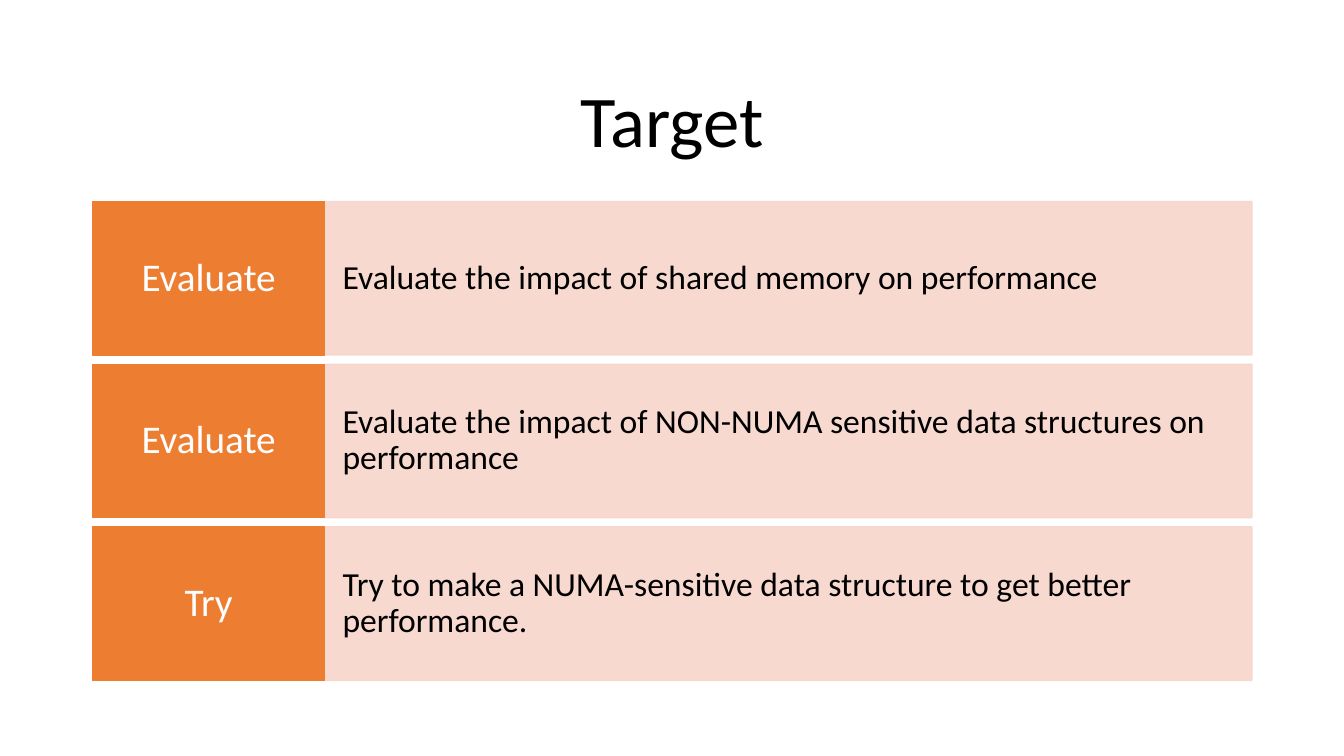
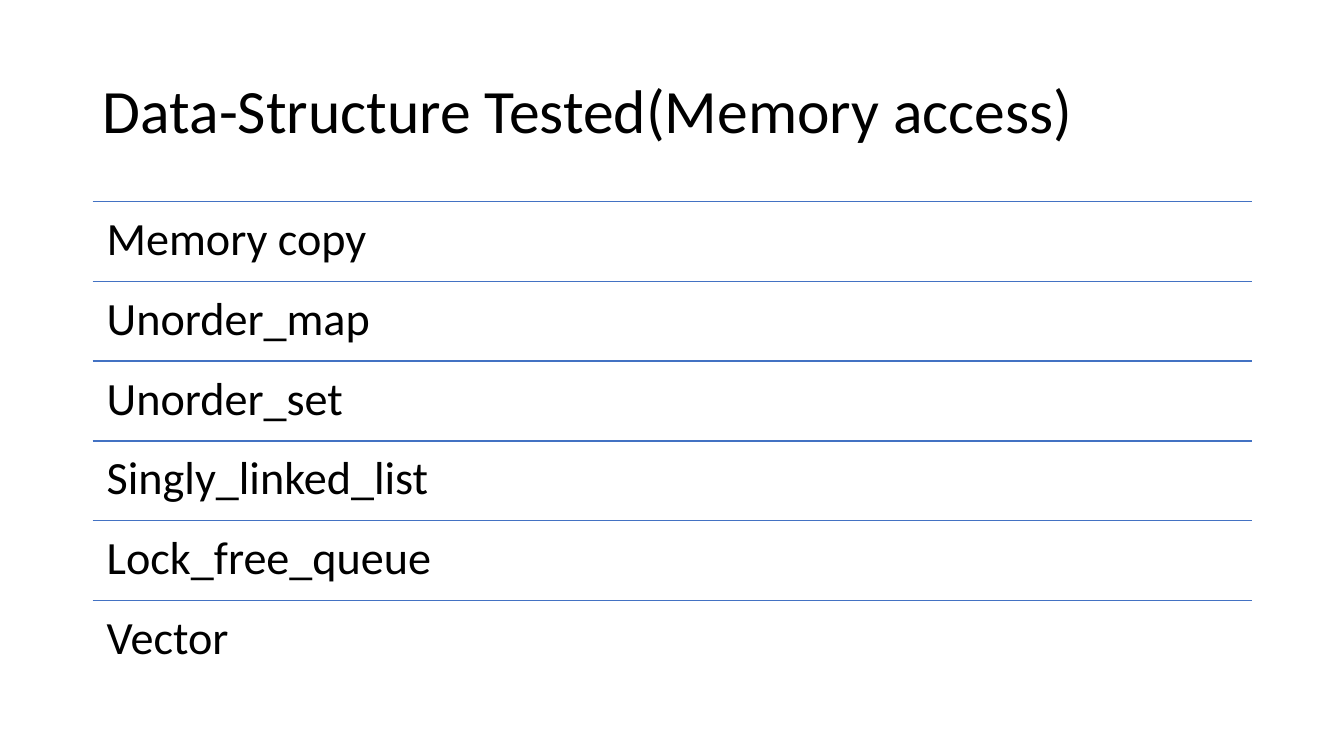
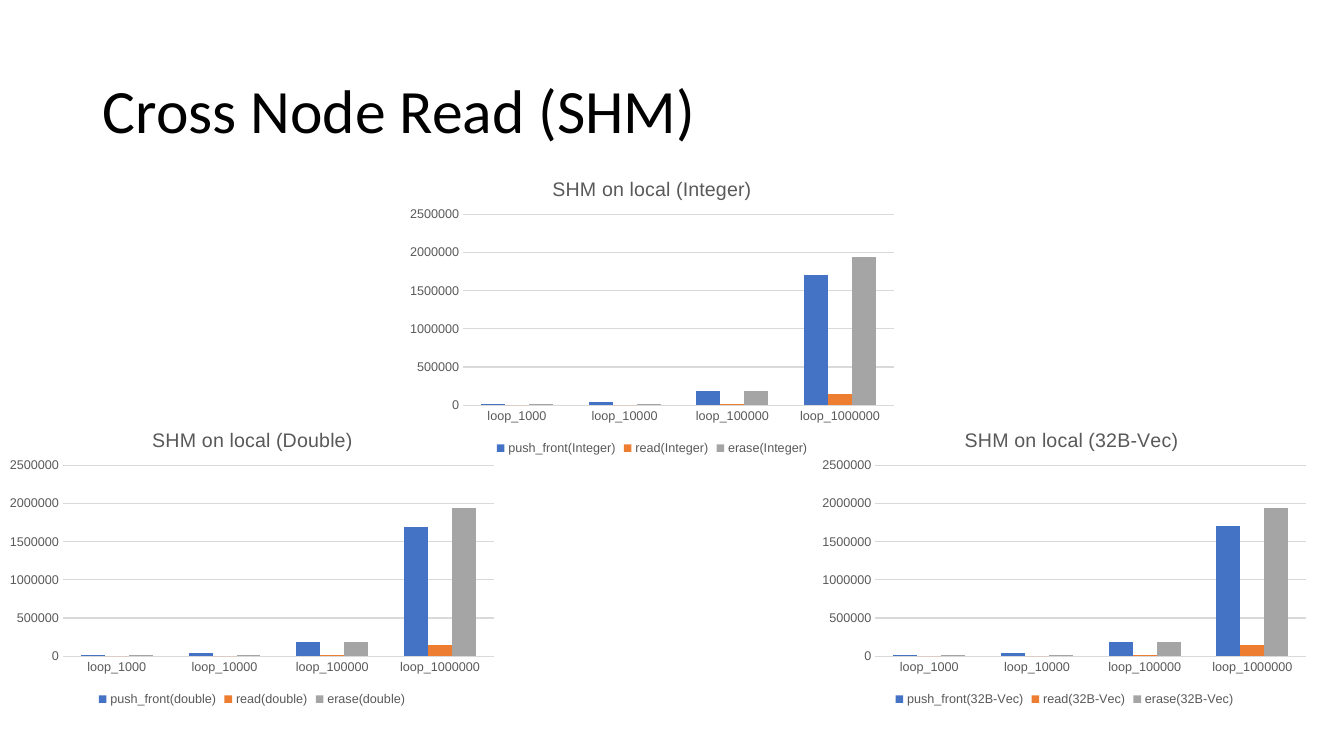
from lxml import etree
from pptx import Presentation
from pptx import util as u
from pptx.chart import data as cd
from pptx.dml import color as dc
from pptx.enum import chart as ec
from pptx.enum import shapes, text
from pptx.oxml import ns, parse_xml

LEFT, WIDTH = 66.25, 828
TOP, HEIGHT = 144, 342
BLUE, ORANGE, GRAY = "4472C4", "ED7D31", "A5A5A5"
RULE, PINK, GRID, LABEL = "4372C3", "F7D5CB", "D9D9D9", "595959"
BLACK, WHITE = "000000", "FFFFFF"
ALIGN = text.PP_ALIGN
ANCHOR = text.MSO_ANCHOR


def paint(color_format, color, alpha=None):
    """Set a hex colour, with its opacity in percent if given."""
    color_format.rgb = dc.RGBColor.from_string(color)
    if alpha is not None:
        srgb = color_format._xFill.find(ns.qn("a:srgbClr"))
        etree.SubElement(srgb, ns.qn("a:alpha"), val=str(alpha * 1000))


def style_font(font, size, color, face):
    font.size, font.name, font.bold = u.Pt(size), face, False
    paint(font.color, color)


def write(tf, words, size=24, color=BLACK, align=ALIGN.LEFT,
          anchor=ANCHOR.MIDDLE, inset=(7.2, 3.6)):
    """Put one paragraph in a frame; inset is (sides, top and bottom)."""
    tf.word_wrap, tf.auto_size = True, text.MSO_AUTO_SIZE.NONE
    tf.vertical_anchor = anchor
    tf.margin_left = tf.margin_right = u.Pt(inset[0])
    tf.margin_top = tf.margin_bottom = u.Pt(inset[1])
    p = tf.paragraphs[0]
    p.alignment, p.line_spacing = align, 0.9
    r = p.add_run()
    r.text = words
    style_font(r.font, size, color, "Calibri")


def place(element, after, **fractions):
    """Fix a chart part at fractions of the chart's size."""
    inner = '<c:layoutTarget val="inner"/>' if "w" in fractions else ""
    modes = "".join(f'<c:{k}Mode val="edge"/>' for k in "xy")
    values = "".join(f'<c:{k} val="{v}"/>' for k, v in fractions.items())
    for old in element.findall(ns.qn("c:layout")):
        element.remove(old)
    layout = parse_xml(f'<c:layout {ns.nsdecls("c")}><c:manualLayout>{inner}{modes}'
                       f'{values}</c:manualLayout></c:layout>')
    if after is None:
        element.insert(0, layout)
    else:
        after.addnext(layout)


class Deck:
    def __init__(self):
        self.prs = Presentation()
        self.prs.slide_width, self.prs.slide_height = u.Pt(960), u.Pt(540)
        self.s = None

    def slide(self, title, top=28.75, height=104.4, **fmt):
        self.s = self.prs.slides.add_slide(self.prs.slide_layouts[5])
        sp = self.s.shapes.title
        sp.left, sp.top, sp.width, sp.height = map(u.Pt, (LEFT, top, WIDTH, height))
        write(sp.text_frame, title, **fmt)

    def block(self, x, y, w, h, words, fill, alpha=None, **fmt):
        sp = self.s.shapes.add_shape(shapes.MSO_SHAPE.RECTANGLE, *map(u.Pt, (x, y, w, h)))
        sp.shadow.inherit = False
        sp.fill.solid()
        paint(sp.fill.fore_color, fill, alpha)
        sp.line.width = u.Pt(1)
        sp.line.fill.solid()
        paint(sp.line.fill.fore_color, fill, alpha)
        write(sp.text_frame, words, **fmt)

    def label(self, x, y, w, h, words, **fmt):
        sp = self.s.shapes.add_textbox(*map(u.Pt, (x, y, w, h)))
        write(sp.text_frame, words, **fmt)

    def rule(self, x, y, w):
        cx = self.s.shapes.add_connector(shapes.MSO_CONNECTOR.STRAIGHT,
                                         *map(u.Pt, (x, y, x + w, y)))
        cx.line.width = u.Pt(1)
        paint(cx.line.color, RULE)
        etree.SubElement(cx._element.spPr, ns.qn("a:effectLst"))

    def columns(self, x, y, title, cats, series):
        """Add a column chart; series maps names to values."""
        data = cd.CategoryChartData()
        data.categories = cats
        for name, values in series.items():
            data.add_series(name, values)
        chart = self.s.shapes.add_chart(ec.XL_CHART_TYPE.COLUMN_CLUSTERED,
                                        *map(u.Pt, (x, y, 360, 216)), data).chart
        style_font(chart.font, 10, BLACK, "Arial")
        chart.has_title = True
        tf = chart.chart_title.text_frame
        tf.text = title
        style_font(tf.paragraphs[0].runs[0].font, 14, LABEL, "Arial")
        heading = chart.chart_title._element
        place(heading, heading.find(ns.qn("c:tx")), x=0.295, y=0.05)

        chart.has_legend = True
        chart.legend.position = ec.XL_LEGEND_POSITION.BOTTOM
        chart.legend.include_in_layout = False
        style_font(chart.legend.font, 9, LABEL, "Arial")
        for axis in (chart.category_axis, chart.value_axis):
            axis.major_tick_mark = axis.minor_tick_mark = ec.XL_TICK_MARK.NONE
            axis.format.line.fill.background()
            style_font(axis.tick_labels.font, 9, LABEL, "Arial")
        grid = chart.value_axis.major_gridlines.format.line
        grid.width = u.Pt(0.75)
        paint(grid.color, GRID)

        plot = chart.plots[0]
        plot.gap_width, plot.overlap, plot.vary_by_categories = 150, 0, False
        for ser, color in zip(plot.series, (BLUE, ORANGE, GRAY)):
            ser.format.fill.solid()
            paint(ser.format.fill.fore_color, color)
        place(plot._element.getparent(), None, x=0.125, y=0.19, w=0.855, h=0.63)


def target_slide(deck):
    deck.slide("Target", top=43.75, height=89.4, size=52, align=ALIGN.CENTER)
    rows = [("Evaluate", "Evaluate the impact of shared memory on performance"),
            ("Evaluate", "Evaluate the impact of NON-NUMA sensitive data structures on performance"),
            ("Try", "Try to make a NUMA-sensitive data structure to get better performance.")]
    gap, tag = 6.6, WIDTH / 5
    h = (HEIGHT - gap * (len(rows) - 1)) / len(rows)
    for i, (verb, goal) in enumerate(rows):
        y = TOP + i * (h + gap)
        deck.block(LEFT + tag, y, WIDTH - tag, h, goal, PINK, alpha=90, inset=(12.85, 27.8))
        deck.block(LEFT, y, tag, h, verb, ORANGE, size=28, color=WHITE,
                   align=ALIGN.CENTER, inset=(8.75, 10.8))


def structures_slide(deck):
    deck.slide("Data-Structure Tested(Memory access)", size=44)
    names = ["Memory copy", "Unorder_map", "Unorder_set", "Singly_linked_list",
             "Lock_free_queue", "Vector"]
    h = HEIGHT / len(names)
    for i, name in enumerate(names):
        y = TOP + i * h
        deck.rule(LEFT, y, WIDTH)
        deck.label(LEFT, y, WIDTH, h, name, size=33, anchor=ANCHOR.TOP, inset=(10, 10))


def read_slide(deck):
    deck.slide("Cross Node Read (SHM)", size=44)
    cats = [f"loop_{10 ** n}" for n in range(3, 7)]
    charts = [(0, 291.6, "Double", "double", 1690000, 1950000),
              (285.8, 112.3, "Integer", "Integer", 1710000, 1940000),
              (580.3, 291.6, "32B-Vec", "32B-Vec", 1710000, 1950000)]
    for x, y, heading, kind, push, erase in charts:
        deck.columns(x, y, f"SHM on local ({heading})", cats, {
            f"push_front({kind})": (10000, 40000, 190000, push),
            f"read({kind})": (0, 0, 20000, 150000),
            f"erase({kind})": (10000, 20000, 190000, erase)})


def main():
    deck = Deck()
    target_slide(deck)
    structures_slide(deck)
    read_slide(deck)
    deck.prs.save("out.pptx")


if __name__ == "__main__":
    main()
